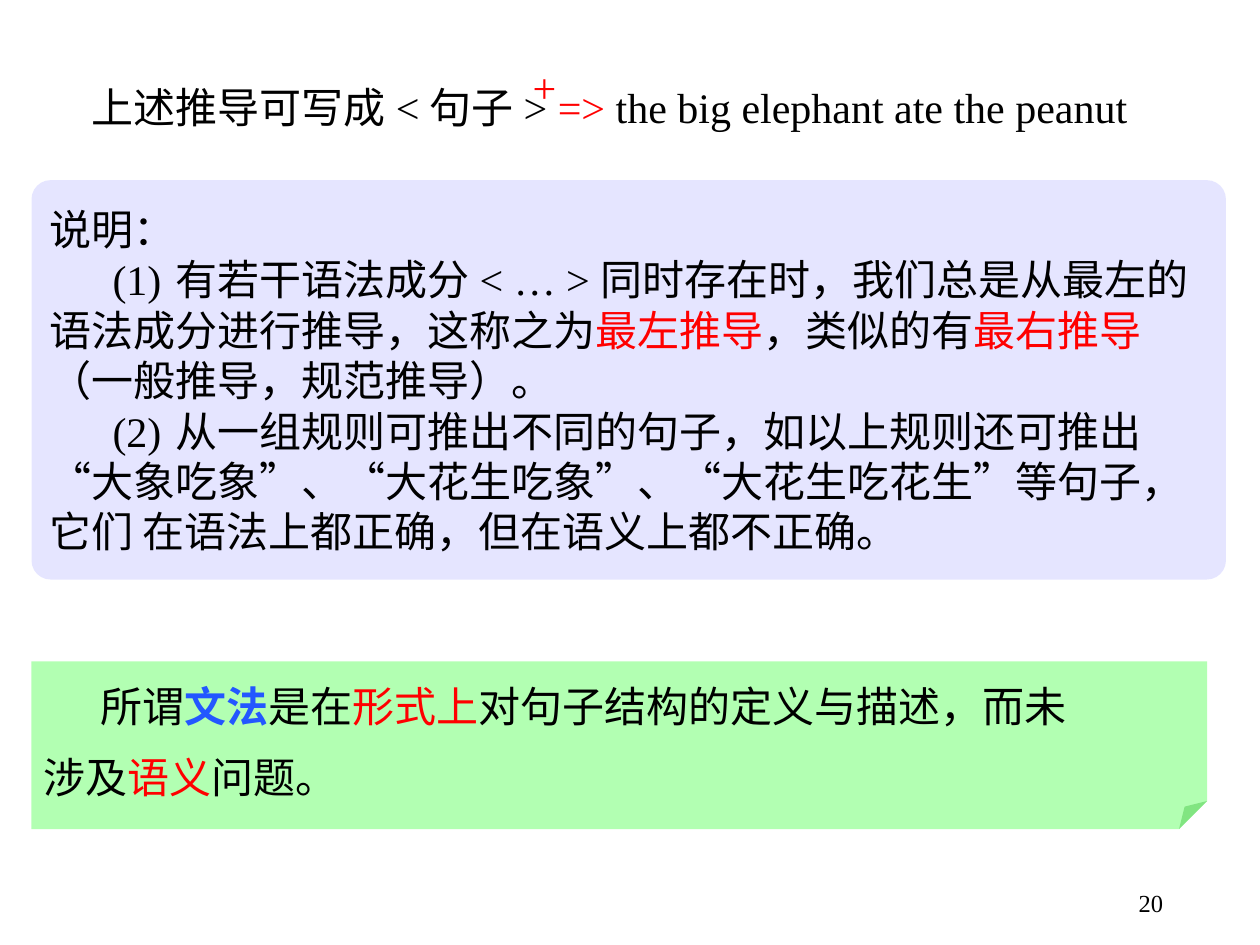
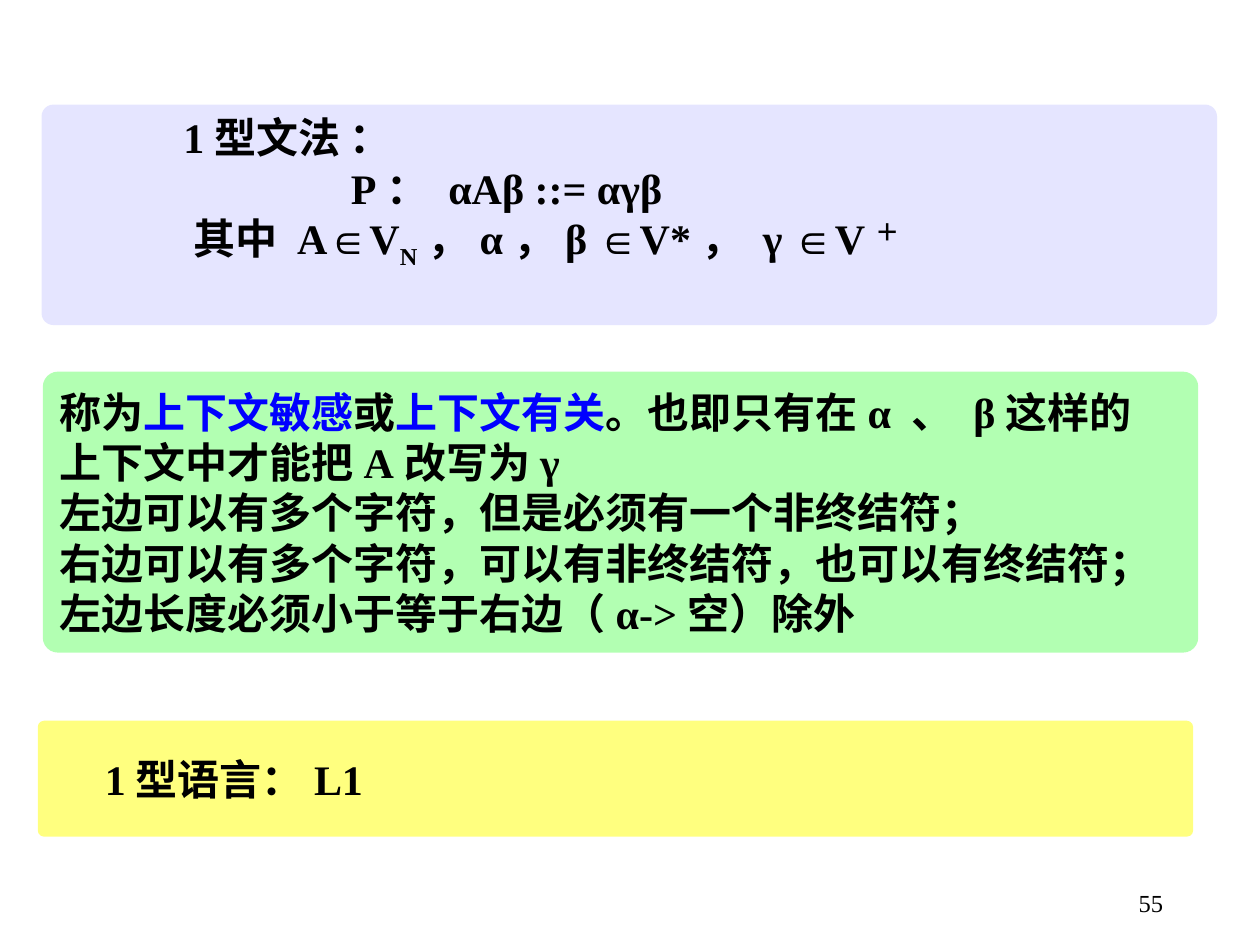
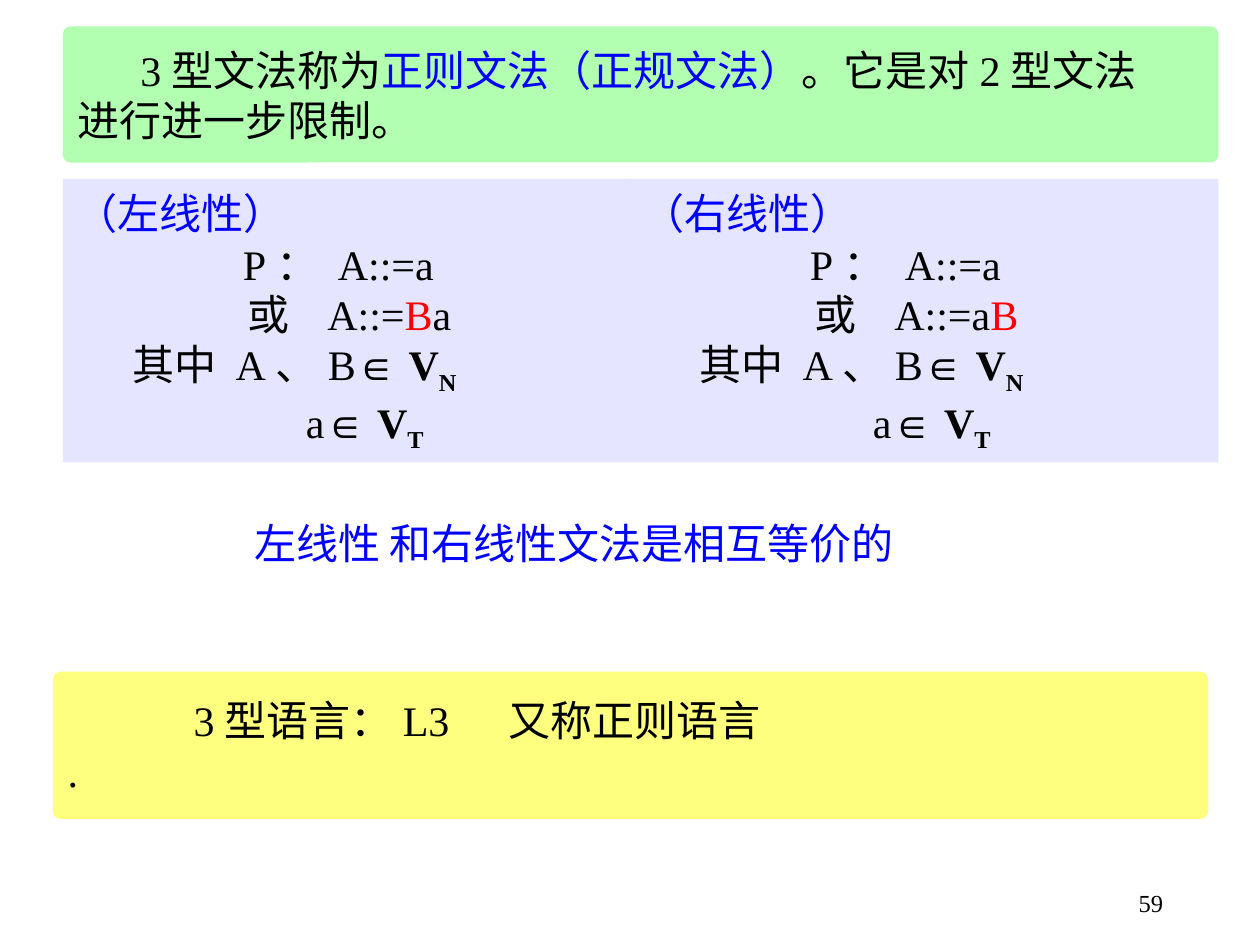
from dataclasses import dataclass

from lxml.etree import SubElement
from pptx import Presentation
from pptx.dml.color import RGBColor
from pptx.enum.shapes import MSO_SHAPE
from pptx.enum.text import MSO_ANCHOR, PP_ALIGN
from pptx.oxml.ns import qn
from pptx.util import Inches, Pt


@dataclass(frozen=True)
class Theme:
    text: str = "000000"
    red: str = "FF0000"
    blue: str = "0000FF"
    term_blue: str = "2357FF"
    lavender: str = "CCCCFF"
    green: str = "66FF66"
    yellow: str = "FFFF00"
    panel_alpha: int = 50
    latin: str = "Times New Roman"
    chinese: str = "Noto Sans CJK SC"
    body_size: int = 24
    number_size: int = 14


@dataclass(frozen=True)
class Run:
    text: str
    color: str = ""
    bold: bool = False
    baseline: int = 0


@dataclass(frozen=True)
class Line:
    """One paragraph; indent and tab are in inches from the text edge."""
    runs: tuple
    indent: float = 0
    tab: float = 0


THEME = Theme()


def line(*parts, indent=0, tab=0):
    runs = tuple(Run(part) if isinstance(part, str) else part for part in parts)
    return Line(runs, indent, tab)


def red(text):
    return Run(text, THEME.red)


def blue(text):
    return Run(text, THEME.blue)


def subscript(text):
    return Run(text, bold=True, baseline=-25)


def write_paragraph(paragraph, content, size, bold, latin):
    properties = paragraph._p.get_or_add_pPr()
    if content.indent:
        properties.set("marL", "0")
        properties.set("indent", str(Inches(content.indent)))
    if content.tab:
        tab_list = SubElement(properties, qn("a:tabLst"))
        SubElement(tab_list, qn("a:tab"), pos=str(Inches(content.tab)), algn="l")
    font = paragraph.font
    font.size = Pt(size)
    font.bold = bold
    font.color.rgb = RGBColor.from_string(THEME.text)
    font.name = latin
    SubElement(font._element, qn("a:ea"), typeface=THEME.chinese)
    for part in content.runs:
        run = paragraph.add_run()
        run.text = part.text
        if part.color:
            run.font.color.rgb = RGBColor.from_string(part.color)
        if part.bold:
            run.font.bold = True
        if part.baseline:
            run.font._element.set("baseline", str(part.baseline * 1000))


def write_lines(text_frame, lines, size=THEME.body_size, bold=False,
                latin=THEME.latin, spacing=None, align=PP_ALIGN.LEFT):
    for index, content in enumerate(lines):
        paragraph = text_frame.add_paragraph() if index else text_frame.paragraphs[0]
        paragraph.alignment = align
        if spacing:
            paragraph.line_spacing = spacing
        write_paragraph(paragraph, content, size, bold, latin)


def add_text(slide, box, content, **style):
    text_frame = slide.shapes.add_textbox(*map(Inches, box)).text_frame
    text_frame.word_wrap = True
    write_lines(text_frame, [content], **style)


def add_panel(slide, box, color, lines, kind=MSO_SHAPE.ROUNDED_RECTANGLE,
              corner=0.054, bottom_inset=0.05, **style):
    """Half-transparent panel whose lines keep their own breaks."""
    shape = slide.shapes.add_shape(kind, *map(Inches, box))
    shape.shadow.inherit = False
    if len(shape.adjustments):
        shape.adjustments[0] = corner
    shape.line.fill.background()
    shape.fill.solid()
    shape.fill.fore_color.rgb = RGBColor.from_string(color)
    fill_color = shape._element.spPr.find(qn("a:solidFill"))[0]
    SubElement(fill_color, qn("a:alpha"), val=str(THEME.panel_alpha * 1000))
    text_frame = shape.text_frame
    text_frame.word_wrap = False
    text_frame.vertical_anchor = MSO_ANCHOR.MIDDLE
    text_frame.margin_bottom = Inches(bottom_inset)
    write_lines(text_frame, lines, **style)


def add_numbered_slide(presentation, number):
    slide = presentation.slides.add_slide(presentation.slide_layouts[6])
    add_text(slide, (7.25, 7, 2.08, 0.5), line(str(number)),
             size=THEME.number_size, align=PP_ALIGN.RIGHT)
    return slide


def add_derivation(slide, box):
    left, top, width, height = box
    add_text(slide, box, line("上述推导可写成<句子> ", red("=>"),
                              " the big elephant ate the peanut"))
    add_text(slide, (left + 3.5, top - 0.16, 0.33, height), line(red("+")))


def add_linear_grammar(slide, box, heading, rule):
    add_panel(slide, box, THEME.lavender, [
        line(blue(heading)),
        line("P： A::=a", indent=1.33),
        line("或\tA::=", *rule, indent=1.37, tab=1.94),
        line("其中 A、B∈ ", Run("V", bold=True), subscript("N"), indent=0.45),
        line("a∈ ", Run("V", bold=True), subscript("T"), indent=1.83),
    ], kind=MSO_SHAPE.RECTANGLE)


def build_derivation_slide(presentation):
    slide = add_numbered_slide(presentation, 20)
    add_derivation(slide, (0.63, 0.6, 8.58, 0.5))
    add_panel(slide, (0.25, 1.43, 9.48, 3.17), THEME.lavender, [
        line("说明："),
        line("(1)\t有若干语法成分< … >同时存在时，我们总是从最左的",
             indent=0.5, tab=1.13),
        line("语法成分进行推导，这称之为", red("最左推导"),
             "，类似的有", red("最右推导")),
        line("（一般推导，规范推导）。"),
        line("(2)\t从一组规则可推出不同的句子，如以上规则还可推出",
             indent=0.5, tab=1.21),
        line("“大象吃象”、“大花生吃象”、“大花生吃花生”等句子，"),
        line("它们 在语法上都正确，但在语义上都不正确。"),
    ], corner=0.048)
    add_panel(slide, (0.25, 5.25, 9.33, 1.33), THEME.green, [
        line("所谓", Run("文法", THEME.term_blue, bold=True), "是在",
             red("形式上"), "对句子结构的定义与描述，而未", indent=0.45),
        line("涉及", red("语义"), "问题。"),
    ], kind=MSO_SHAPE.FOLDED_CORNER, corner=0.232,
        latin=THEME.chinese, spacing=1.4)


def build_type_one_slide(presentation):
    slide = add_numbered_slide(presentation, 55)
    add_panel(slide, (0.33, 0.83, 9.33, 1.75), THEME.lavender, [
        line("1型文法 ：", indent=1),
        line("P： αAβ ::= αγβ", indent=2.33),
        line("其中 A∈V", subscript("N"), "，α，β ∈V*， γ ∈V",
             Run("＋", baseline=30), indent=1.08),
    ], bottom_inset=0.43, bold=True)
    add_panel(slide, (0.34, 2.95, 9.17, 2.23), THEME.green, [
        line("称为", blue("上下文敏感"), "或", blue("上下文有关"),
             "。也即只有在α 、 β这样的"),
        line("上下文中才能把A改写为γ"),
        line("左边可以有多个字符，但是必须有一个非终结符；"),
        line("右边可以有多个字符，可以有非终结符，也可以有终结符；"),
        line("左边长度必须小于等于右边（α->空）除外"),
    ], bold=True)
    add_panel(slide, (0.3, 5.72, 9.17, 0.92), THEME.yellow,
              [line("1型语言：L1", indent=0.42)], bold=True)


def build_type_three_slide(presentation):
    slide = add_numbered_slide(presentation, 59)
    add_panel(slide, (0.5, 0.21, 9.17, 1.08), THEME.green, [
        line("3型文法称为", blue("正则文法（正规文法）"),
             "。它是对2型文法", indent=0.5),
        line("进行进一步限制。"),
    ])
    add_linear_grammar(slide, (0.5, 1.42, 4.5, 2.25), "（左线性）", (red("B"), "a"))
    add_linear_grammar(slide, (5, 1.42, 4.67, 2.25), "（右线性）", ("a", red("B")))
    add_text(slide, (1.85, 4.06, 7.22, 0.5),
             line(blue("左线性 和右线性文法是相互等价的"), indent=0.07))
    add_panel(slide, (0.42, 5.33, 9.17, 1.17), THEME.yellow, [
        line("3型语言：L3\t又称正则语言", indent=1, tab=3.43),
        line("."),
    ])


def main():
    presentation = Presentation()
    presentation.slide_width = Inches(10)
    presentation.slide_height = Inches(7.5)
    build_derivation_slide(presentation)
    build_type_one_slide(presentation)
    build_type_three_slide(presentation)
    presentation.save("out.pptx")


if __name__ == "__main__":
    main()
